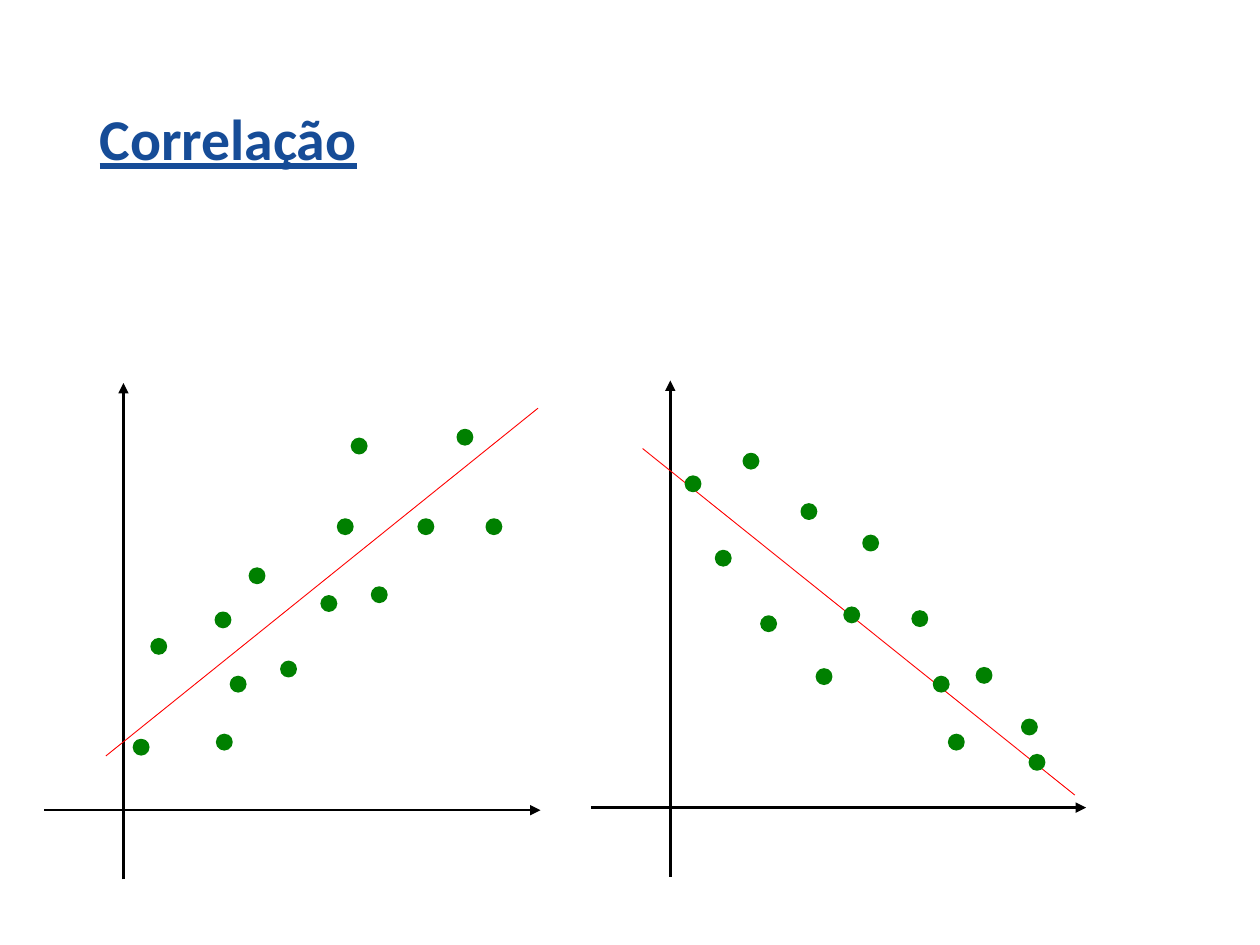
from lxml import etree
from pptx import Presentation
from pptx.dml.color import RGBColor
from pptx.enum.shapes import MSO_CONNECTOR as CONN, MSO_SHAPE as SHAPE
from pptx.enum.text import MSO_ANCHOR as ANCHOR, MSO_AUTO_SIZE as AUTO, PP_ALIGN as ALIGN
from pptx.oxml.ns import qn
from pptx.util import Inches, Pt

COLORS = {"title": "164C97", "axis": "000000", "trend": "FF0000", "dot": "008000"}
TITLE_FONT = {"name": "Calibri", "size": Pt(33), "bold": True, "underline": True}
DOT = 0.12

# Each plot: axis lines and trend line as (x1, y1, x2, y2), dots as (left, top)
PLOTS = [
    {
        "axes": [(0.35, 6.43, 4.29, 6.43), (0.98, 6.98, 0.98, 3.04)],
        "trend": (0.84, 6, 4.27, 3.24),
        "dots": [(1.06, 5.87), (1.2, 5.07), (1.72, 5.83), (1.98, 4.51), (2.55, 4.73),
                 (1.83, 5.37), (1.71, 4.86), (2.95, 4.66), (3.32, 4.12), (2.68, 4.12),
                 (2.23, 5.25), (2.79, 3.48), (3.63, 3.41), (3.86, 4.12)],
    },
    {
        "axes": [(4.69, 6.41, 8.62, 6.41), (5.32, 6.96, 5.32, 3.02)],
        "trend": (8.53, 6.31, 5.1, 3.56),
        "dots": [(8.17, 5.99), (8.11, 5.71), (7.53, 5.83), (7.24, 4.85), (6.7, 4.82),
                 (7.75, 5.3), (6.48, 5.31), (6.04, 4.89), (6.36, 4), (6.85, 4.25),
                 (7.41, 5.37), (5.68, 4.37), (5.9, 3.6), (5.44, 3.78)],
    },
]


class Deck:
    def __init__(self):
        self.prs = Presentation()
        self.prs.slide_width, self.prs.slide_height = Inches(10), Inches(7.5)
        self.s = self.prs.slides.add_slide(self.prs.slide_layouts[5])

    def color(self, key):
        return RGBColor.from_string(COLORS[key])

    def title(self, text, left, top, width, height):
        sp = self.s.shapes.title
        sp.left, sp.top = Inches(left), Inches(top)
        sp.width, sp.height = Inches(width), Inches(height)
        tf = sp.text_frame
        tf.auto_size, tf.vertical_anchor = AUTO.NONE, ANCHOR.MIDDLE
        p = tf.paragraphs[0]
        p.alignment, p.line_spacing = ALIGN.LEFT, 0.9
        r = p.add_run()
        r.text = text
        for name, value in TITLE_FONT.items():
            setattr(r.font, name, value)
        r.font.color.rgb = self.color("title")

    def line(self, group, ends, color, width, arrow=False):
        sp = group.shapes.add_connector(CONN.STRAIGHT, *map(Inches, ends))
        sp.line.color.rgb = self.color(color)
        sp.line.width = Pt(width)
        if arrow:
            etree.SubElement(sp.line._get_or_add_ln(), qn("a:tailEnd"), type="triangle")
        etree.SubElement(sp._element.spPr, qn("a:effectLst"))

    def dot(self, group, left, top):
        sp = group.shapes.add_shape(SHAPE.OVAL, Inches(left), Inches(top),
                                    Inches(DOT), Inches(DOT))
        sp.shadow.inherit = False
        sp.fill.solid()
        sp.fill.fore_color.rgb = sp.line.color.rgb = self.color("dot")
        sp.line.width = Pt(1)

    def scatter(self, axes, trend, dots):
        group = self.s.shapes.add_group_shape()
        for axis in axes:
            self.line(group, axis, "axis", 1.5, arrow=True)
        self.line(group, trend, "trend", 0.5)
        for left, top in dots:
            self.dot(group, left, top)


def main():
    deck = Deck()
    # Title
    deck.title("Correlação", 0.69, 0.4, 8.62, 1.45)
    # Positive and negative correlation
    for plot in PLOTS:
        deck.scatter(**plot)
    deck.prs.save("out.pptx")


if __name__ == "__main__":
    main()
